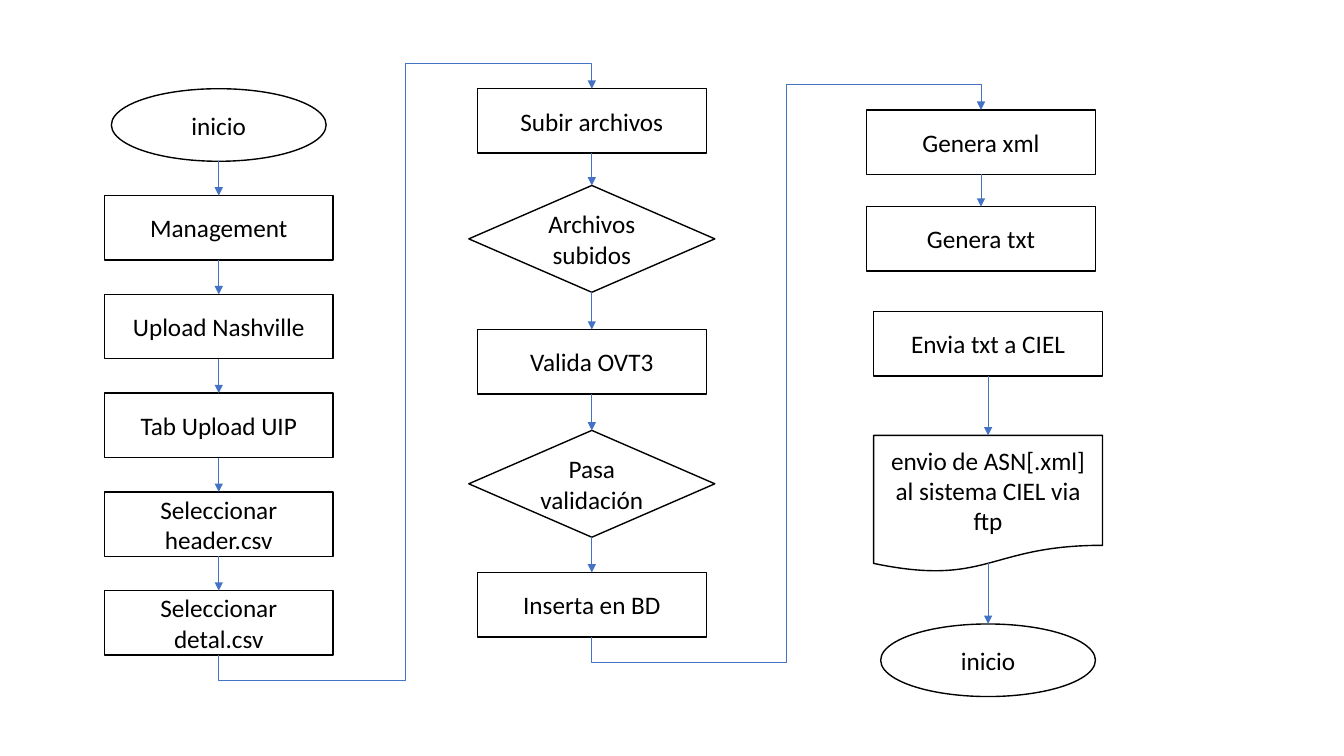
from dataclasses import dataclass
from itertools import pairwise

from pptx import Presentation
from pptx.dml.color import RGBColor
from pptx.enum.shapes import MSO_CONNECTOR as Connector, MSO_SHAPE as Preset
from pptx.enum.text import MSO_ANCHOR as Anchor, PP_ALIGN as Align
from pptx.oxml.ns import qn
from pptx.shapes.autoshape import Shape
from pptx.shapes.connector import Connector as ConnectorShape
from pptx.slide import Slide
from pptx.util import Inches, Pt
from lxml.etree import SubElement


@dataclass(frozen=True)
class Theme:
    font: str = "Calibri"
    text_size: Pt = Pt(18)
    outline_width: Pt = Pt(1)
    arrow_width: Pt = Pt(0.5)
    ink: RGBColor = RGBColor(0x00, 0x00, 0x00)
    paper: RGBColor = RGBColor(0xFF, 0xFF, 0xFF)
    arrow: RGBColor = RGBColor(0x44, 0x72, 0xC4)


@dataclass(frozen=True)
class Kind:
    preset: Preset
    width: float
    height: float
    bottom_site: int = 2
    exit_height: float | None = None  # where an arrow leaves, if above the bottom


@dataclass(frozen=True)
class Step:
    text: str
    top: float
    kind: Kind


@dataclass(frozen=True)
class Column:
    center: float
    steps: list[Step]


THEME = Theme()
TERMINAL = Kind(Preset.OVAL, 2.13, 0.72, bottom_site=4)
PROCESS = Kind(Preset.RECTANGLE, 2.27, 0.64)
DECISION = Kind(Preset.FLOWCHART_DECISION, 2.44, 1.06)
DOCUMENT = Kind(Preset.FLOWCHART_DOCUMENT, 2.27, 1.36, exit_height=1.27)
DETOUR = Inches(0.25)  # how far a wrapping arrow runs past a column

# The upload tasks are evenly spaced below the start
UPLOAD_TASKS = ["Management", "Upload Nashville", "Tab Upload UIP",
                "Seleccionar header.csv", "Seleccionar detal.csv"]
UPLOAD_TOP, UPLOAD_PITCH = 1.94, 0.98

UPLOAD = Column(2.17, [Step("inicio", 0.88, TERMINAL)] + [
    Step(task, UPLOAD_TOP + index * UPLOAD_PITCH, PROCESS)
    for index, task in enumerate(UPLOAD_TASKS)])
VALIDATION = Column(5.87, [
    Step("Subir archivos", 0.88, PROCESS),
    Step("Archivos\nsubidos", 1.84, DECISION),
    Step("Valida OVT3", 3.27, PROCESS),
    Step("Pasa validación", 4.27, DECISION),
    Step("Inserta en BD", 5.68, PROCESS)])
GENERATION = Column(9.73, [
    Step("Genera xml", 1.09, PROCESS),
    Step("Genera txt", 2.05, PROCESS)])
DELIVERY = Column(9.8, [
    Step("Envia txt a CIEL", 3.09, PROCESS),
    Step("envio de ASN[.xml] al sistema CIEL via ftp", 4.32, DOCUMENT),
    Step("inicio", 6.19, TERMINAL)])


def draw_step(slide: Slide, step: Step, center: float) -> Shape:
    kind = step.kind
    shape = slide.shapes.add_shape(
        kind.preset, Inches(center - kind.width / 2), Inches(step.top),
        Inches(kind.width), Inches(kind.height))
    shape.shadow.inherit = False
    shape.fill.solid()
    shape.fill.fore_color.rgb = THEME.paper
    shape.line.color.rgb = THEME.ink
    shape.line.width = THEME.outline_width
    frame = shape.text_frame
    frame.word_wrap = True
    frame.vertical_anchor = Anchor.MIDDLE
    frame.text = step.text
    for paragraph in frame.paragraphs:
        paragraph.alignment = Align.CENTER
        paragraph.font.name = THEME.font
        paragraph.font.size = THEME.text_size
        paragraph.font.color.rgb = THEME.ink
    return shape


def draw_arrow(slide: Slide, style: Connector, source: Shape, target: Shape,
               kind: Kind) -> ConnectorShape:
    """Join the bottom of source to the top of target."""
    arrow = slide.shapes.add_connector(style, 0, 0, 0, 0)
    arrow.begin_connect(source, 2)
    arrow.end_connect(target, 0)
    arrow._element.nvCxnSpPr.cNvCxnSpPr.stCxn.idx = kind.bottom_site
    if kind.exit_height is not None:
        arrow.begin_y = source.top + Inches(kind.exit_height)
    arrow.line.color.rgb = THEME.arrow
    arrow.line.width = THEME.arrow_width
    SubElement(arrow.line._get_or_add_ln(), qn("a:tailEnd"), type="triangle")
    SubElement(arrow._element.spPr, qn("a:effectLst"))
    return arrow


def draw_wrapping_arrow(slide: Slide, source: Shape, target: Shape,
                        kind: Kind) -> None:
    """Lead from the foot of one column to the head of the next."""
    arrow = draw_arrow(slide, Connector.ELBOW, source, target, kind)
    # Five segments turned a quarter: rise and run swap places in the frame
    run, rise = arrow.end_x - arrow.begin_x, arrow.begin_y - arrow.end_y
    arrow.left += (run - rise) // 2
    arrow.top += (rise - run) // 2
    arrow.width, arrow.height = rise, run
    properties = arrow._element.spPr
    frame = properties.find(qn("a:xfrm"))
    for name, value in {"rot": "5400000", "flipH": "1", "flipV": "1"}.items():
        frame.set(name, value)
    geometry = properties.find(qn("a:prstGeom"))
    geometry.set("prst", "bentConnector5")
    guides = geometry.find(qn("a:avLst"))
    overshoot = DETOUR / rise
    for number, share in enumerate([-overshoot, 0.5, 1 + overshoot], start=1):
        SubElement(guides, qn("a:gd"), name=f"adj{number}",
                   fmla=f"val {round(share * 100000)}")


def draw_column(slide: Slide, column: Column) -> list[Shape]:
    shapes = [draw_step(slide, step, column.center) for step in column.steps]
    for (step, source), (_, target) in pairwise(zip(column.steps, shapes)):
        draw_arrow(slide, Connector.STRAIGHT, source, target, step.kind)
    return shapes


presentation = Presentation()
presentation.slide_width = Inches(13.33)
presentation.slide_height = Inches(7.5)
slide = presentation.slides.add_slide(presentation.slide_layouts[6])

# Columns of steps
upload, validation, generation, _ = [
    draw_column(slide, column)
    for column in (UPLOAD, VALIDATION, GENERATION, DELIVERY)]

# Arrows from column to column
draw_wrapping_arrow(slide, upload[-1], validation[0], PROCESS)
draw_wrapping_arrow(slide, validation[-1], generation[0], PROCESS)

presentation.save("out.pptx")
